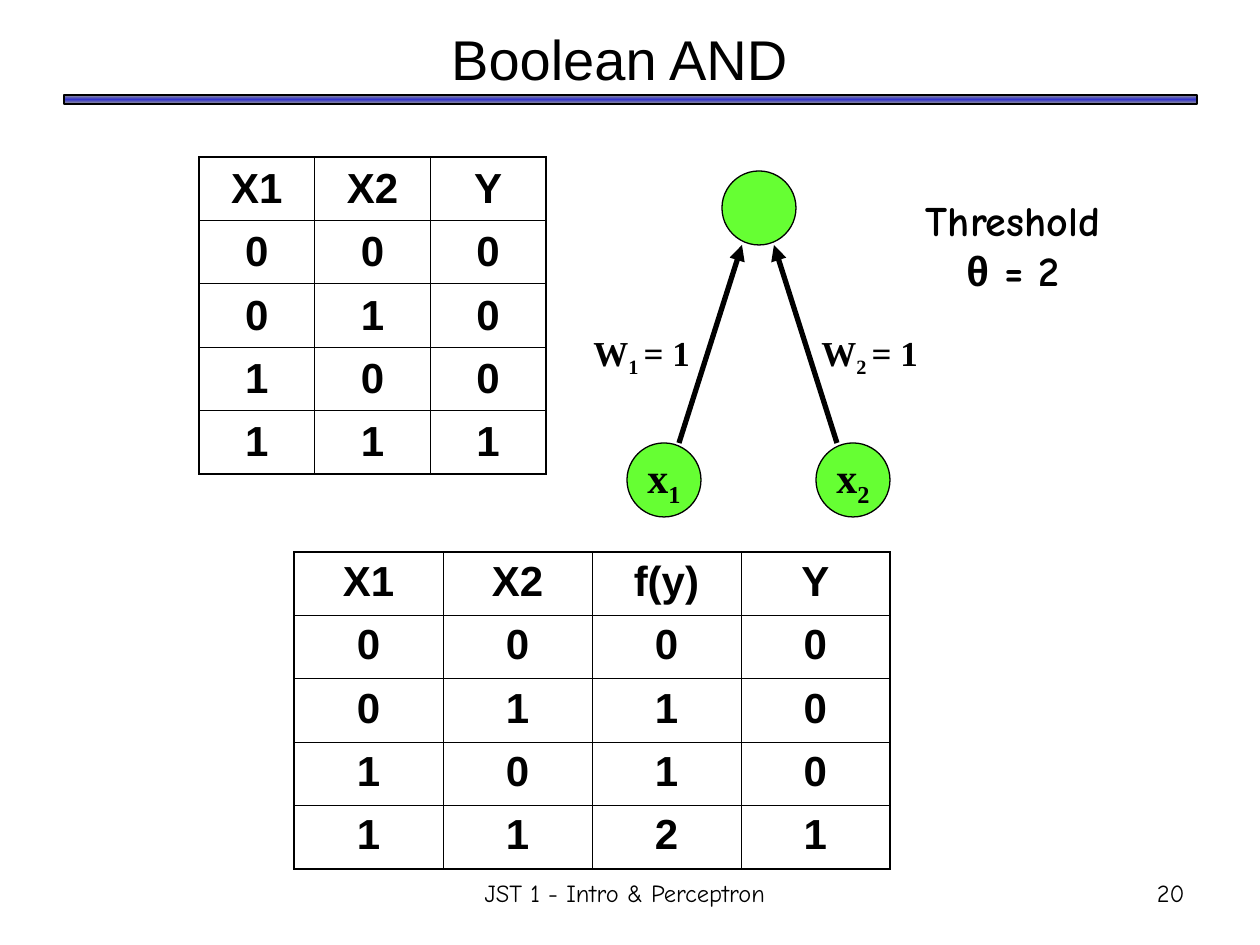
from copy import deepcopy

from lxml import etree
from pptx import Presentation
from pptx.dml.color import RGBColor
from pptx.enum.shapes import MSO_CONNECTOR, MSO_SHAPE
from pptx.enum.text import MSO_ANCHOR, MSO_AUTO_SIZE, PP_ALIGN
from pptx.oxml.ns import qn
from pptx.util import Emu, Pt

PX = 914400 / 126
BLACK, GREEN, GRAY, BLUE = "000000", "66FF33", "969696", "3333CC"
LEFT, CENTER, RIGHT = PP_ALIGN.LEFT, PP_ALIGN.CENTER, PP_ALIGN.RIGHT
TOP, MIDDLE = MSO_ANCHOR.TOP, MSO_ANCHOR.MIDDLE
FIT_TEXT = MSO_AUTO_SIZE.SHAPE_TO_FIT_TEXT
OVAL, RECTANGLE = MSO_SHAPE.OVAL, MSO_SHAPE.RECTANGLE
STRAIGHT = MSO_CONNECTOR.STRAIGHT

TITLE = {"name": "Arial", "size": Pt(32)}
CELL = {"name": "Arial", "size": Pt(24), "bold": True}
NODE = {"name": "Times New Roman", "size": Pt(24), "bold": True}
WEIGHT = {**NODE, "size": Pt(20)}
THRESHOLD = {"name": "Comic Neue", "size": Pt(24), "bold": True}
GREEK = {**THRESHOLD, "name": "Arial"}
FOOTER = {"name": "Comic Neue", "size": Pt(14)}

AND_ROWS = ["X1 X2 Y", "0 0 0", "0 1 0", "1 0 0", "1 1 1"]
NET_ROWS = ["X1 X2 f(y) Y", "0 0 0 0", "0 1 1 0", "1 0 1 0", "1 1 2 1"]
NODE_SIZE = 74
INPUT_TOP = 443
OUTPUT_TOP = 171


def px(*lengths):
    return [Emu(round(length * PX)) for length in lengths]


def color(value):
    return RGBColor.from_string(value)


def add_run(paragraph, text, style, subscript=False):
    run = paragraph.add_run()
    run.text = text
    for name, value in style.items():
        setattr(run.font, name, value)
    run.font.color.rgb = color(BLACK)
    if subscript:
        run.font._element.set("baseline", "-25000")


def write(frame, lines, align=CENTER, anchor=MIDDLE, wrap=True):
    """Fill a text frame; each line is a list of add_run argument tuples."""
    frame.word_wrap = wrap
    frame.vertical_anchor = anchor
    for index, line in enumerate(lines):
        paragraph = frame.add_paragraph() if index else frame.paragraphs[0]
        paragraph.alignment = align
        for run in line:
            add_run(paragraph, *run)


def add_text(slide, box, lines, fit=False, **layout):
    frame = slide.shapes.add_textbox(*px(*box)).text_frame
    write(frame, lines, **layout)
    if fit:
        frame.auto_size = FIT_TEXT


def add_outlined(slide, kind, box, line_width):
    shape = slide.shapes.add_shape(kind, *px(*box))
    shape.shadow.inherit = False
    shape.line.color.rgb = color(BLACK)
    shape.line.width = Pt(line_width)
    return shape


def add_title_bar(slide):
    fill = add_outlined(slide, RECTANGLE, (64, 95, 1133, 9), 1).fill
    fill.gradient()
    fill.gradient_angle = 90
    stops = fill.gradient_stops
    stop_list = stops[0]._gs.getparent()
    stop_list.append(deepcopy(stops[1]._gs))
    for stop, value, position in zip(
        fill.gradient_stops, (GRAY, BLUE, GRAY), (0, 0.5, 1)
    ):
        stop.color.rgb = color(value)
        stop.position = position


def add_node(slide, left, top, index=None):
    node = add_outlined(slide, OVAL, (left, top, NODE_SIZE, NODE_SIZE), 0.75)
    node.fill.solid()
    node.fill.fore_color.rgb = color(GREEN)
    if index:
        write(node.text_frame, [[("x", NODE), (index, NODE, True)]], wrap=False)


def add_arrow(slide, start, end):
    arrow = slide.shapes.add_connector(STRAIGHT, *px(*start, *end))
    arrow.line.color.rgb = color(BLACK)
    arrow.line.width = Pt(3)
    etree.SubElement(arrow.line._get_or_add_ln(), qn("a:tailEnd"), type="triangle")
    etree.SubElement(arrow._element.spPr, qn("a:effectLst"))


def add_weight(slide, left, index):
    runs = [("W", WEIGHT), (index + " ", WEIGHT, True), ("= 1", WEIGHT)]
    add_text(slide, (left, 325, 130, 60), [runs],
             align=LEFT, anchor=TOP)


def set_borders(cell, outer_sides):
    properties = cell._tc.get_or_add_tcPr()
    for index, side in enumerate("LRTB"):
        width = Pt(1.08 if side in outer_sides else 0.45)
        line = etree.Element(qn("a:ln" + side), w=str(width))
        fill = etree.SubElement(line, qn("a:solidFill"))
        etree.SubElement(fill, qn("a:srgbClr"), val=BLACK)
        properties.insert(index, line)


def add_truth_table(slide, box, rows, anchor):
    grid = [row.split() for row in rows]
    last_row, last_column = len(grid) - 1, len(grid[0]) - 1
    left, top, width, height = px(*box)
    table = slide.shapes.add_table(
        len(grid), len(grid[0]), left, top, width, height
    ).table
    for row_index, values in enumerate(grid):
        for column_index, value in enumerate(values):
            cell = table.cell(row_index, column_index)
            cell.fill.background()
            cell.vertical_anchor = anchor
            paragraph = cell.text_frame.paragraphs[0]
            paragraph.alignment = CENTER
            add_run(paragraph, value, CELL)
            edges = {"L": column_index == 0, "R": column_index == last_column,
                     "T": row_index == 0, "B": row_index == last_row}
            set_borders(cell, [side for side, outer in edges.items() if outer])


def main():
    presentation = Presentation()
    presentation.slide_width, presentation.slide_height = px(1260, 945)
    slide = presentation.slides.add_slide(presentation.slide_layouts[6])

    add_title_bar(slide)
    add_text(slide, (63, 6, 1113, 105), [[("Boolean AND", TITLE)]])
    add_truth_table(slide, (199, 157, 347, 317), AND_ROWS, MIDDLE)

    add_node(slide, 722, OUTPUT_TOP)
    arrow_end = OUTPUT_TOP + NODE_SIZE
    for index, node_left, start, end, weight_left in (
        ("1", 627, 679, 742, 581),
        ("2", 816, 837, 774, 809),
    ):
        add_arrow(slide, (start, INPUT_TOP), (end, arrow_end))
        add_node(slide, node_left, INPUT_TOP, index)
        add_weight(slide, weight_left, index)

    add_truth_table(slide, (294, 552, 596, 317), NET_ROWS, TOP)
    add_text(slide, (913, 188, 200, 113),
             [[("Threshold", THRESHOLD)], [("θ", GREEK), (" = 2", THRESHOLD)]],
             fit=True, anchor=TOP, wrap=False)
    add_text(slide, (378, 861, 494, 63), [[("JST 1 - Intro & Perceptron", FOOTER)]])
    add_text(slide, (935, 861, 262, 63), [[("20", FOOTER)]], align=RIGHT)
    presentation.save("out.pptx")


if __name__ == "__main__":
    main()
